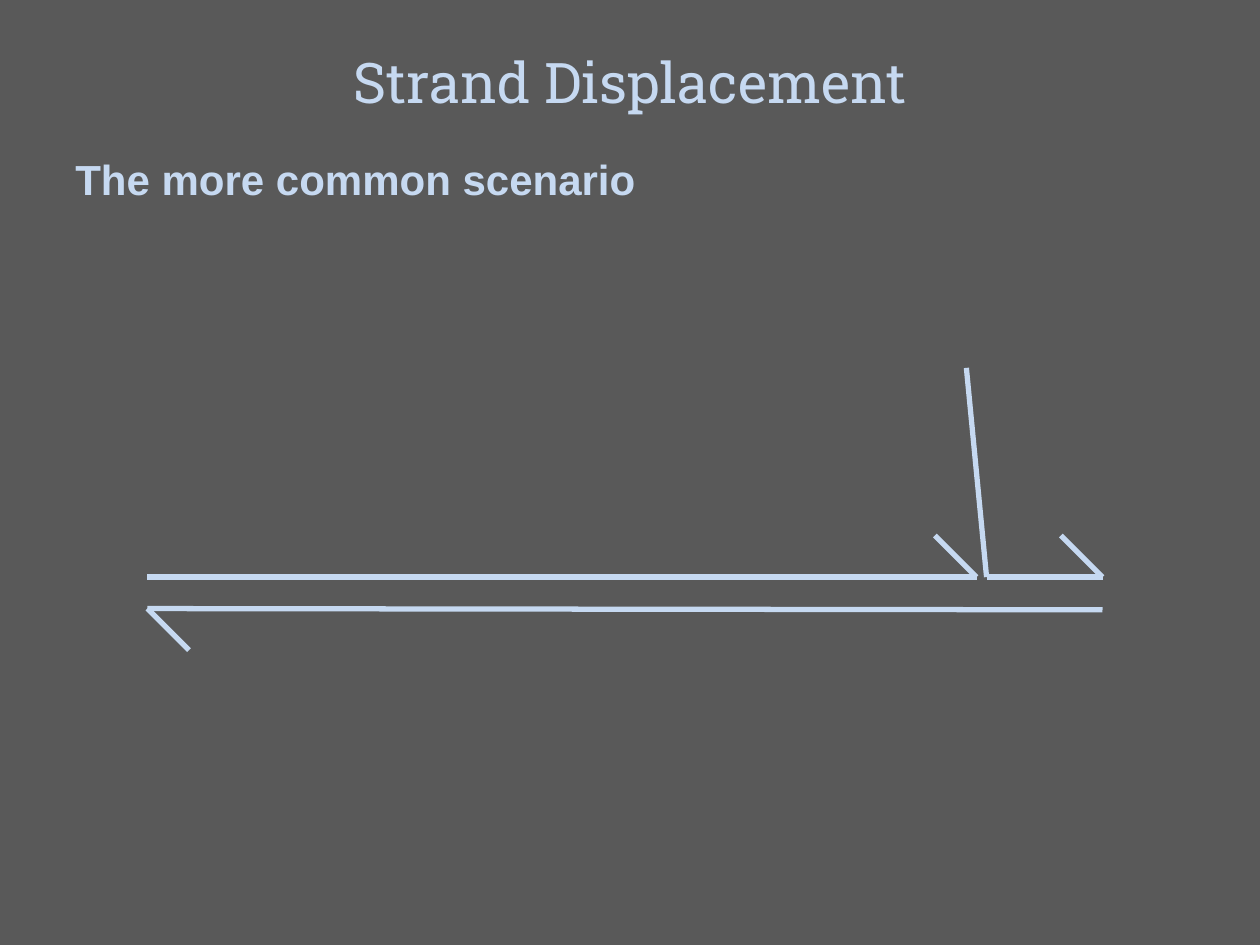
from lxml.etree import SubElement
from pptx import Presentation
from pptx.dml.color import RGBColor
from pptx.enum.shapes import MSO_CONNECTOR
from pptx.enum.text import MSO_ANCHOR, MSO_AUTO_SIZE, PP_ALIGN
from pptx.oxml.ns import qn
from pptx.util import Inches, Pt

COLORS = {"background": "595959", "strand": "C6D9F1"}


def write_text(box, text, font, size, bold=False, align=PP_ALIGN.LEFT):
    frame = box.text_frame
    frame.word_wrap = True
    frame.auto_size = MSO_AUTO_SIZE.NONE
    frame.vertical_anchor = MSO_ANCHOR.TOP
    para = frame.paragraphs[0]
    para.alignment = align
    span = para.add_run()
    span.text = text
    span.font.name = font
    span.font.size = Pt(size)
    span.font.bold = bold
    span.font.color.rgb = RGBColor.from_string(COLORS["strand"])


def add_headings(page, left, top, width):
    title = page.shapes.title
    title.left, title.top = Inches(left), Inches(top)
    title.width, title.height = Inches(width), Inches(0.64)
    write_text(title, "Strand Displacement", font="Roboto Slab", size=32,
               align=PP_ALIGN.CENTER)

    subtitle = page.shapes.add_textbox(
        Inches(left + 0.5), Inches(top + 0.84), Inches(8.67), Inches(0.5))
    write_text(subtitle, "The more common scenario", font="Arial", size=24, bold=True)


def add_line(page, start, end):
    line = page.shapes.add_connector(
        MSO_CONNECTOR.STRAIGHT, *(Inches(length) for length in start + end))
    line.line.color.rgb = RGBColor.from_string(COLORS["strand"])
    line.line.width = Pt(3)
    SubElement(line._element.spPr, qn("a:effectLst"))


def add_strand(page, tail, tip, barb):
    """Draw a strand with a half arrowhead; barb is its offset from the tip."""
    add_line(page, tail, tip)
    add_line(page, tip, (tip[0] + barb[0], tip[1] + barb[1]))


def add_strands(page, left, top, width):
    """Draw a lower strand, two upper strands bound to it and a loose end."""
    right = left + width
    lower = top + 0.25
    junction = right - 0.92
    barb = 0.33
    add_strand(page, (right, lower + 0.01), (left, lower), (barb, barb))
    add_strand(page, (junction, top), (right, top), (-barb, -barb))
    add_strand(page, (left, top), (right - 1, top), (-barb, -barb))
    add_line(page, (junction, top), (junction - 0.16, top - 1.66))


def main():
    deck = Presentation()
    deck.slide_width, deck.slide_height = Inches(10), Inches(7.5)
    page = deck.slides.add_slide(deck.slide_layouts.get_by_name("Title Only"))
    page.background.fill.solid()
    page.background.fill.fore_color.rgb = RGBColor.from_string(COLORS["background"])
    add_headings(page, left=0, top=0.33, width=10)
    add_strands(page, left=1.17, top=4.58, width=7.58)
    deck.save("out.pptx")


if __name__ == "__main__":
    main()
